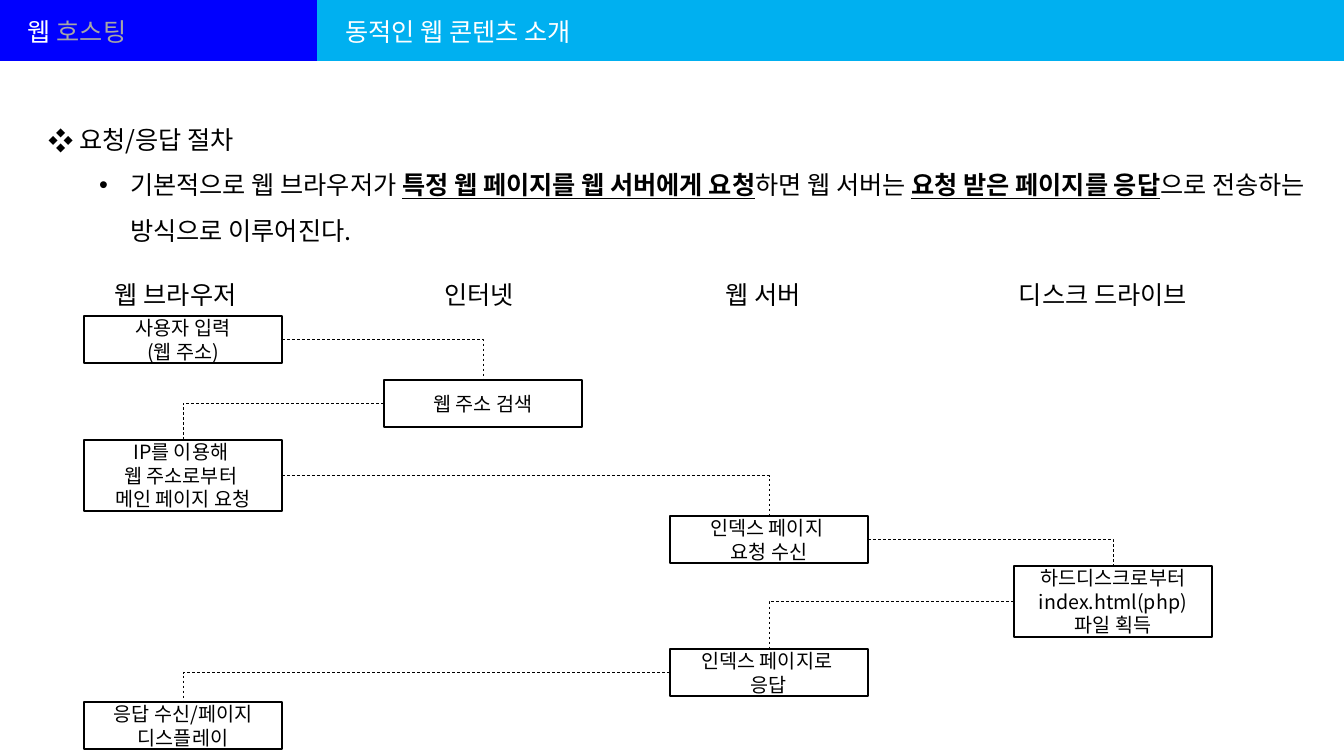
from lxml import etree
from pptx import Presentation
from pptx.dml.color import RGBColor
from pptx.enum.dml import MSO_LINE
from pptx.enum.shapes import MSO_CONNECTOR, MSO_SHAPE
from pptx.enum.text import MSO_ANCHOR, MSO_AUTO_SIZE, PP_ALIGN
from pptx.oxml.ns import qn
from pptx.util import Pt

EMU_PER_PX = 914400 / 100.8
FONT = "Noto Sans CJK KR"
BLACK = RGBColor(0x00, 0x00, 0x00)
WHITE = RGBColor(0xFF, 0xFF, 0xFF)
GRAY = RGBColor(0xA6, 0xA6, 0xA6)
BLUE = RGBColor(0x00, 0x00, 0xFF)
SKY = RGBColor(0x00, 0xB0, 0xF0)

BOX_WIDTH = 198
LINE_HEIGHTS = {2: 47, 3: 71}
TOP, LEFT, RIGHT = 0, 1, 3

COLUMNS = {
    "browser": (84, 156, "웹 브라우저"),
    "internet": (384, 97, "인터넷"),
    "server": (670, 106, "웹 서버"),
    "disk": (1014, 208, "디스크 드라이브"),
}

STEPS = [
    ("browser", 316, 2, ["사용자 입력", "(웹 주소)"]),
    ("internet", 380, 2, ["웹 주소 검색"]),
    ("browser", 440, 3, ["IP를 이용해 ", "웹 주소로부터 ", "메인 페이지 요청"]),
    ("server", 516, 2, ["인덱스 페이지 ", "요청 수신"]),
    ("disk", 566, 3, ["하드디스크로부터 index.html(php)", "파일 획득"]),
    ("server", 649, 2, ["인덱스 페이지로 ", "응답"]),
    ("browser", 702, 2, ["응답 수신/페이지 디스플레이"]),
]

PROCEDURE = [
    ("기본적으로 웹 브라우저가 ", False),
    ("특정 웹 페이지를 웹 서버에게 요청", True),
    ("하면 웹 서버는 ", False),
    ("요청 받은 페이지를 응답", True),
    ("으로 전송하는 방식으로 이루어진다.", False),
]


def px(value):
    return round(value * EMU_PER_PX)


def place(shape, left, top, width, height):
    shape.left, shape.top = px(left), px(top)
    shape.width, shape.height = px(width), px(height)


def add_run(paragraph, text, size=18, color=BLACK, strong=False):
    run = paragraph.add_run()
    run.text = text
    run.font.size = Pt(size)
    run.font.color.rgb = color
    run.font.name = FONT
    run.font.bold = run.font.underline = strong
    latin = run.font._element.find(qn("a:latin"))
    east_asian = etree.Element(qn("a:ea"), typeface=FONT)
    latin.addnext(east_asian)


def format_label(shape, runs):
    frame = shape.text_frame
    frame.word_wrap = False
    frame.auto_size = MSO_AUTO_SIZE.NONE
    frame.vertical_anchor = MSO_ANCHOR.TOP
    paragraph = frame.paragraphs[0]
    paragraph.alignment = PP_ALIGN.LEFT
    for text, color in runs:
        add_run(paragraph, text, color=color)


def add_label(slide, left, top, width, runs):
    label = slide.shapes.add_textbox(px(left), px(top), px(width), px(40))
    format_label(label, runs)


def style_line(connector, color, width):
    connector.line.color.rgb = color
    connector.line.width = Pt(width)
    etree.SubElement(connector._element.spPr, qn("a:effectLst"))


def add_band(slide, left, right, color):
    band = slide.shapes.add_connector(
        MSO_CONNECTOR.STRAIGHT, px(left), px(30), px(right), px(30))
    style_line(band, color, 45)


def format_bullet(paragraph, char, font, indent):
    paragraph.line_spacing = 1.5
    paragraph.space_before = Pt(0)
    properties = paragraph._p.get_or_add_pPr()
    properties.set("marL", str(px(indent)))
    properties.set("indent", str(px(-31)))
    etree.SubElement(properties, qn("a:buFont"), typeface=font)
    etree.SubElement(properties, qn("a:buChar"), char=char)


def fill_procedure(body):
    place(body, 38, 104, 1291, 147)
    frame = body.text_frame
    frame.auto_size = MSO_AUTO_SIZE.NONE
    heading = frame.paragraphs[0]
    format_bullet(heading, "❖", FONT, 31)
    add_run(heading, "요청/응답 절차")
    detail = frame.add_paragraph()
    detail.level = 1
    format_bullet(detail, "•", "Arial", 82)
    for text, strong in PROCEDURE:
        add_run(detail, text, strong=strong)


def add_step(slide, column, top, line_count, lines):
    box = slide.shapes.add_shape(
        MSO_SHAPE.RECTANGLE, px(COLUMNS[column][0]), px(top),
        px(BOX_WIDTH), px(LINE_HEIGHTS[line_count]))
    box.shadow.inherit = False
    box.fill.background()
    box.line.color.rgb = BLACK
    box.line.width = Pt(1)
    frame = box.text_frame
    frame.word_wrap = True
    frame.vertical_anchor = MSO_ANCHOR.MIDDLE
    for index, text in enumerate(lines):
        paragraph = frame.add_paragraph() if index else frame.paragraphs[0]
        paragraph.alignment = PP_ALIGN.CENTER
        add_run(paragraph, text, size=14)
    return box


def link_steps(slide, source, target):
    side = RIGHT if target.left > source.left else LEFT
    link = slide.shapes.add_connector(MSO_CONNECTOR.ELBOW, 0, 0, 0, 0)
    link.begin_connect(source, side)
    link.end_connect(target, TOP)
    link._element.spPr.find(qn("a:prstGeom")).set("prst", "bentConnector2")
    link.line.dash_style = MSO_LINE.DASH
    style_line(link, BLACK, 0.5)


def main():
    deck = Presentation()
    deck.slide_width, deck.slide_height = px(1344), px(756)
    slide = deck.slides.add_slide(deck.slide_layouts[1])
    title, body = slide.placeholders

    add_band(slide, 314, 1344, SKY)
    add_band(slide, 0, 317, BLUE)
    for placeholder in (title, body):
        slide.shapes._spTree.append(placeholder._element)

    add_label(slide, 18, 11, 131, [("웹 ", WHITE), ("호스팅", GRAY)])
    place(title, 335, 11, 276, 40)
    format_label(title, [("동적인 웹 콘텐츠 소개", WHITE)])
    fill_procedure(body)

    for left, width, name in COLUMNS.values():
        add_label(slide, left + (BOX_WIDTH - width) / 2, 274, width, [(name, BLACK)])

    boxes = [add_step(slide, *step) for step in STEPS]
    for source, target in zip(boxes, boxes[1:]):
        link_steps(slide, source, target)

    deck.save("out.pptx")


main()
